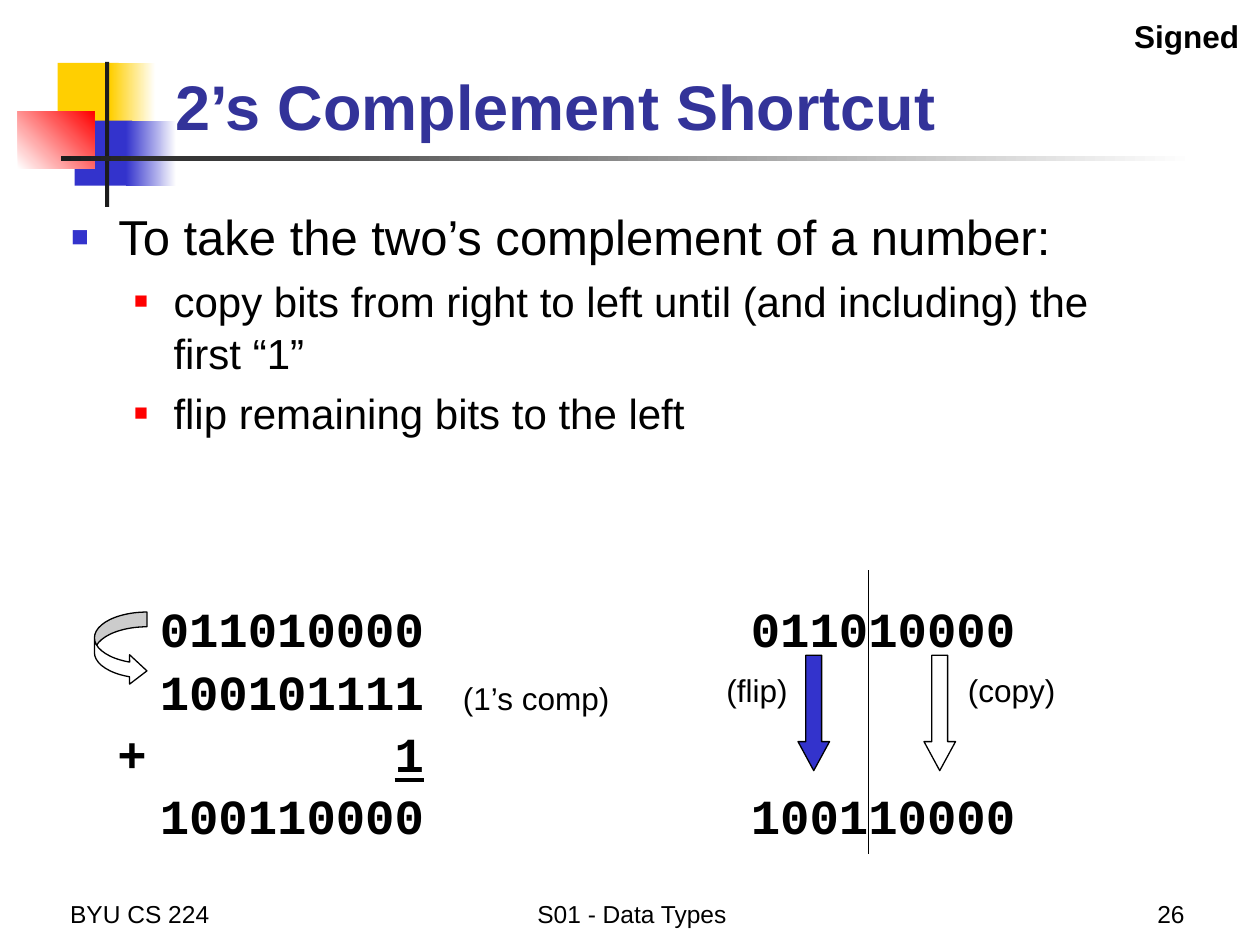
from lxml.etree import SubElement
from pptx import Presentation
from pptx.dml.color import RGBColor
from pptx.enum.shapes import MSO_CONNECTOR, MSO_SHAPE
from pptx.enum.text import MSO_ANCHOR, PP_ALIGN
from pptx.oxml.ns import qn
from pptx.util import Inches, Pt

# The slide is a grid of 120 columns by 90 rows of square cells
COLS, ROWS = 120, 90
CELL = Inches(10) / COLS
LEFT, CENTER, RIGHT = PP_ALIGN.LEFT, PP_ALIGN.CENTER, PP_ALIGN.RIGHT
BLACK, WHITE, BLUE, RED = "000000", "FFFFFF", "3333CC", "FF0000"
YELLOW, DARK, TITLE = "FFCF01", "1C1C1C", "333399"
MONO = "Courier New"


def cells(*values):
    return [round(v * CELL) for v in values]


def within(box, x, y, w, h):
    """Cell box placed relative to the corner of a region."""
    return box[0] + x, box[1] + y, w, h


def rgb(value):
    return RGBColor.from_string(value)


def add_text(p, text, size=18, color=BLACK, font="Arial", bold=False, underline=False):
    r = p.add_run()
    r.text = text
    r.font.size, r.font.name = Pt(size), font
    r.font.bold, r.font.underline = bold, underline
    r.font.color.rgb = rgb(color)
    return r


def add_box(s, box, anchor=MSO_ANCHOR.TOP, wrap=True, top=0.6):
    tf = s.shapes.add_textbox(*cells(*box)).text_frame
    tf.word_wrap, tf.vertical_anchor = wrap, anchor
    tf.margin_top = cells(top)[0]
    return tf


def add_label(s, box, text, align=LEFT, anchor=MSO_ANCHOR.TOP, wrap=True, **fmt):
    p = add_box(s, box, anchor, wrap).paragraphs[0]
    p.alignment = align
    add_text(p, text, **fmt)


def add_part(s, kind, box, fill, fade=None, angle=0, line=None, adj=()):
    sp = s.shapes.add_shape(kind, *cells(*box))
    sp.shadow.inherit = False
    for i, value in enumerate(adj):
        sp.adjustments[i] = value
    if fade:
        sp.fill.gradient()
        sp.fill.gradient_angle = angle
        for stop, color in zip(sp.fill.gradient_stops, (fill, fade)):
            stop.color.rgb = rgb(color)
    else:
        sp.fill.solid()
        sp.fill.fore_color.rgb = rgb(fill)
    if line:
        sp.line.color.rgb, sp.line.width = rgb(line), Pt(0.75)
    else:
        sp.line.fill.background()


def add_bullet(p, color, percent, left, hang):
    pPr = p._p.get_or_add_pPr()
    pPr.set("marL", str(cells(left)[0]))
    pPr.set("indent", str(-cells(hang)[0]))
    SubElement(SubElement(pPr, qn("a:buClr")), qn("a:srgbClr"), val=color)
    SubElement(pPr, qn("a:buSzPct"), val=str(percent * 1000))
    SubElement(pPr, qn("a:buFont"), typeface="Arial")
    SubElement(pPr, qn("a:buChar"), char="■")


def add_tabs(p, stops):
    tabs = SubElement(p._p.get_or_add_pPr(), qn("a:tabLst"))
    for pos, align in stops:
        SubElement(tabs, qn("a:tab"), pos=str(cells(pos)[0]), algn=align)


def motif(s, box):
    """Coloured squares and the crossing rules behind the title."""
    parts = [
        (3.8, 0.1, 5.8, 6.2, YELLOW, None, 0),
        (8.8, 0.1, 4.3, 6.2, YELLOW, WHITE, 0),
        (5.4, 5.6, 5.5, 6.2, BLUE, None, 0),
        (10.3, 5.6, 4.8, 6.2, BLUE, WHITE, 0),
        (0, 4.7, 7.3, 5.5, WHITE, RED, 45),
        (8.3, 0, 0.4, 13.8, DARK, None, 0),
        (4.1, 9, 108, 0.4, DARK, WHITE, 0),
    ]
    for x, y, w, h, fill, fade, angle in parts:
        add_part(s, MSO_SHAPE.RECTANGLE, within(box, x, y, w, h), fill, fade, angle)


def header(s, box):
    add_label(s, within(box, 0, 1.8, 102.2, 11.4), "2’s Complement Shortcut",
              anchor=MSO_ANCHOR.BOTTOM, size=36, color=TITLE, bold=True)
    add_label(s, within(box, 69.3, 0, 34.4, 4.8), "Signed", align=RIGHT, bold=True)


def footer(s, box):
    columns = [(0, 25, "BYU CS 224", LEFT), (29.5, 50.4, "S01 - Data Types", CENTER),
               (83.5, 25, "26", RIGHT)]
    for x, w, text, align in columns:
        add_label(s, within(box, x, 0, w, box[3]), text, align, MSO_ANCHOR.BOTTOM, size=14)


def body(s, box):
    tf = add_box(s, box, top=1)
    levels = [(28, BLUE, 60, 4.5, 4.5), (24, RED, 55, 9.75, 3.75)]
    items = [
        (0, "To take the two’s complement of a number:"),
        (1, "copy bits from right to left until (and including) the first “1”"),
        (1, "flip remaining bits to the left"),
    ]
    for i, (level, text) in enumerate(items):
        size, *bullet = levels[level]
        p = tf.add_paragraph() if i else tf.paragraphs[0]
        p.level, p.line_spacing = level, 1.03
        if i:
            p.space_before = Pt(0.2 * size)
        add_bullet(p, *bullet)
        add_text(p, text, size=size)


def worked_example(s, box):
    """Long method on the left, shortcut on the right."""
    # Bit rows: numbers end on right tabs, the remark starts on a left tab
    tf = add_box(s, within(box, 1, 1, 105, 23.6), top=1.4)
    bits = dict(size=28, font=MONO, bold=True)
    rows = [
        [("\t011010000\t\t011010000", bits)],
        [("\t100101111\t", bits), ("(1’s comp)", {})],
        [("+\t", bits), ("1", dict(bits, underline=True))],
        [("\t100110000\t\t100110000", bits)],
    ]
    for i, runs in enumerate(rows):
        p = tf.add_paragraph() if i else tf.paragraphs[0]
        p.line_spacing = 1.06
        add_tabs(p, [(29.2, "r"), (32.9, "l"), (85.5, "r")])
        for text, fmt in runs:
            add_text(p, text, **fmt)

    # Arrows
    add_part(s, MSO_SHAPE.CURVED_RIGHT_ARROW, within(box, 0, 4, 5, 7), WHITE,
             line=BLACK, adj=(0.28, 0.56, 0.33))
    for x, fill in ((79, WHITE), (67, BLUE)):
        add_part(s, MSO_SHAPE.DOWN_ARROW, within(box, x, 8.1, 3, 11), fill,
                 line=BLACK, adj=(0.5, 0.92))
    for x, w, text in ((82, 10.8, "(copy)"), (59, 8.3, "(flip)")):
        add_label(s, within(box, x, 9, w, 4.8), text, wrap=False)

    # Divider between flipped and copied bits
    x, y, _, h = within(box, 73.7, 0, 0, 27)
    c = s.shapes.add_connector(MSO_CONNECTOR.STRAIGHT, *cells(x, y, x, y + h))
    c.line.color.rgb, c.line.width = rgb(BLACK), Pt(0.75)
    SubElement(c._element.spPr, qn("a:effectLst"))


def main():
    prs = Presentation()
    prs.slide_width, prs.slide_height = cells(COLS, ROWS)
    s = prs.slides.add_slide(prs.slide_layouts[6])
    motif(s, (1.7, 5.9, 112, 13.8))
    footer(s, (5.5, 83, 108.5, 6))
    header(s, (15.5, 1, 103.7, 13.2))
    body(s, (5.6, 18.5, 105.1, 27.6))
    worked_example(s, (9, 54.3, 106, 27))
    prs.save("out.pptx")


if __name__ == "__main__":
    main()
